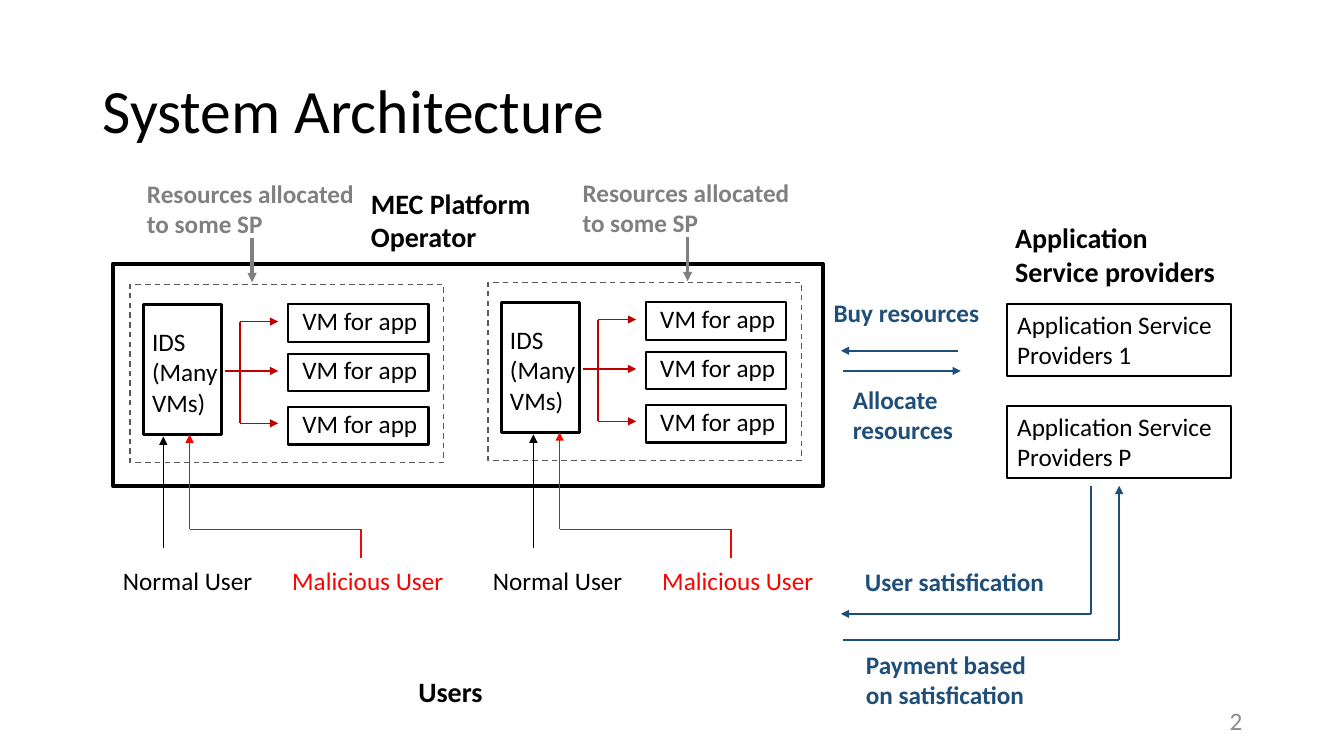
from pptx import Presentation, util as u
from pptx.dml.color import RGBColor
from pptx.enum import dml, shapes, text
from pptx.oxml import parse_xml
from pptx.oxml.ns import nsdecls, qn

BLACK = RGBColor(0, 0, 0)
RED = RGBColor(0xFF, 0, 0)
CRIMSON = RGBColor(0xC0, 0, 0)
NAVY = RGBColor(0x1F, 0x4E, 0x79)
GRAY = RGBColor(0x80, 0x80, 0x80)
DARK = RGBColor(0x59, 0x59, 0x59)
PALE = RGBColor(0x8C, 0x8C, 0x8C)

# Content; the grid has columns and rows of one inch
WIDE, HIGH = 13.33, 7.5
TITLE = "System Architecture"
NUMBER = "2"
SHARE = "Resources allocated to some SP"
IDS = ["IDS", "(Many VMs)"]
APP = "VM for app"
USERS = ["Normal User", "Malicious User"]
HEADS = [  # words, left, top, width, height
    ("Users", 4.05, 6.64, 0.91, 0.44),
    ("MEC Platform Operator", 3.58, 1.8, 1.97, 0.77),
    ("Application Service providers", 9.97, 2.14, 2.22, 0.77),
]
FLOWS = [
    ("Buy resources", 8.17, 2.9, 1.77, 0.4),
    ("Allocate resources", 8.36, 3.76, 1.27, 0.71),
    ("User satisfication", 8.48, 5.57, 2.08, 0.4),
    ("Payment based on satisfication", 8.49, 6.39, 2.08, 0.71),
]
FIRMS = ["Application Service Providers 1", "Application Service Providers P"]
POOLS = [(1.29, 2.82), (4.84, 2.8)]      # corner of each dashed pool
NOTES = [(1.36, 1.72), (5.68, 1.71)]     # corner of each grey note
CROWDS = [(1.12, 4.33), (4.79, 4.31)]    # left of users, top of arrow
VM_ROWS = [0.2, 0.69, 1.22]
FORKS = [0.37, 0.86, 1.38]

deck = Presentation()
deck.slide_width, deck.slide_height = u.Inches(WIDE), u.Inches(HIGH)
slide = deck.slides.add_slide(deck.slide_layouts[6])


def write(shape, words, size=18, color=BLACK, bold=False, align=None,
          anchor=text.MSO_ANCHOR.TOP, space=None):
    """Fill a shape with one paragraph for each line of words."""
    frame = shape.text_frame
    frame.word_wrap = True
    frame.vertical_anchor = anchor
    lines = [words] if isinstance(words, str) else words
    for i, line in enumerate(lines):
        para = frame.add_paragraph() if i else frame.paragraphs[0]
        para.alignment = align or text.PP_ALIGN.LEFT
        if space:
            para.line_spacing = space
        run = para.add_run()
        run.text = line
        font = run.font
        font.name, font.size, font.bold = "Calibri", u.Pt(size), bold
        font.color.rgb = color


def label(words, x, y, w, h, **form):
    box = slide.shapes.add_textbox(*map(u.Inches, (x, y, w, h)))
    write(box, words, **form)


def frame(x, y, w, h, weight, color=BLACK, dash=False):
    box = slide.shapes.add_shape(shapes.MSO_SHAPE.RECTANGLE,
                                 *map(u.Inches, (x, y, w, h)))
    box.shadow.inherit = False
    box.fill.background()
    box.line.color.rgb = color
    box.line.width = u.Pt(weight)
    if dash:
        box.line.dash_style = dml.MSO_LINE.DASH
    return box


def line(x1, y1, x2, y2, color, weight=1.0, arrow=False):
    link = slide.shapes.add_connector(shapes.MSO_CONNECTOR.STRAIGHT,
                                      *map(u.Inches, (x1, y1, x2, y2)))
    link.line.color.rgb = color
    link.line.width = u.Pt(weight)
    if arrow:
        link.line._get_or_add_ln().append(
            parse_xml(f'<a:tailEnd {nsdecls("a")} type="triangle"/>'))
    props = link._element.find(qn("p:spPr"))
    props.append(parse_xml(f'<a:effectLst {nsdecls("a")}/>'))


# Title and page number
label(TITLE, 0.92, 0.4, 11.5, 1.45, size=44, space=0.9,
      anchor=text.MSO_ANCHOR.MIDDLE)
label(NUMBER, 9.42, 6.95, 3, 0.4, color=PALE, align=text.PP_ALIGN.RIGHT,
      anchor=text.MSO_ANCHOR.MIDDLE)

# Platform with its two resource pools
frame(1.12, 2.62, 7.04, 2.2, 3)
for x, y in POOLS:
    frame(x, y, 3.11, 1.77, 1, DARK, dash=True)
    label(IDS, x + 0.12, y + 0.37, 1.1, 1.01)
    frame(x + 0.13, y + 0.2, 0.78, 1.29, 2.25)
    for row in VM_ROWS:
        frame(x + 1.57, y + row, 1.39, 0.37, 1.5)
        label(APP, x + 1.61, y + row - 0.04, 1.37, 0.4)
    stem = x + 1.09
    line(stem - 0.15, y + FORKS[1], stem, y + FORKS[1], CRIMSON)
    line(stem, y + FORKS[0], stem, y + FORKS[-1], CRIMSON)
    for row in FORKS:
        line(stem, y + row, stem + 0.38, y + row, CRIMSON, arrow=True)

# Grey notes above the pools
for x, y in NOTES:
    label(SHARE, x, y, 2.43, 0.71, color=GRAY, bold=True)
    line(x + 1.14, y + 0.64, x + 1.14, y + 1.08, GRAY, 2.25, arrow=True)

# Users below the pools
for x, top in CROWDS:
    label(USERS[0], x, 5.56, 1.51, 0.4)
    label(USERS[1], x + 1.68, 5.56, 1.87, 0.4, color=RED)
    line(x + 0.5, 5.44, x + 0.5, top, BLACK, arrow=True)
    line(x + 2.46, 5.54, x + 2.46, 5.25, RED)
    line(x + 2.46, 5.25, x + 0.76, 5.25, RED)
    line(x + 0.76, 5.25, x + 0.76, top - 0.02, RED, arrow=True)

# Service providers
for i, firm in enumerate(FIRMS):
    box = frame(9.99, 3.02 + 1.01 * i, 2.22, 0.71, 1.5)
    write(box, firm)

# Headings and flow names
for words, *place in HEADS:
    label(words, *place, size=20, bold=True)
for words, *place in FLOWS:
    label(words, *place, color=NAVY, bold=True)

# Flows between platform, providers and users
line(9.5, 3.48, 8.34, 3.48, NAVY, 1.5, arrow=True)
line(8.36, 3.68, 9.53, 3.68, NAVY, 1.5, arrow=True)
line(10.82, 4.82, 10.82, 6.09, NAVY, 1.5)
line(10.82, 6.09, 8.34, 6.09, NAVY, 1.5, arrow=True)
line(8.36, 6.35, 11.1, 6.35, NAVY, 1.5)
line(11.1, 6.35, 11.1, 4.82, NAVY, 1.5, arrow=True)

deck.save("out.pptx")
